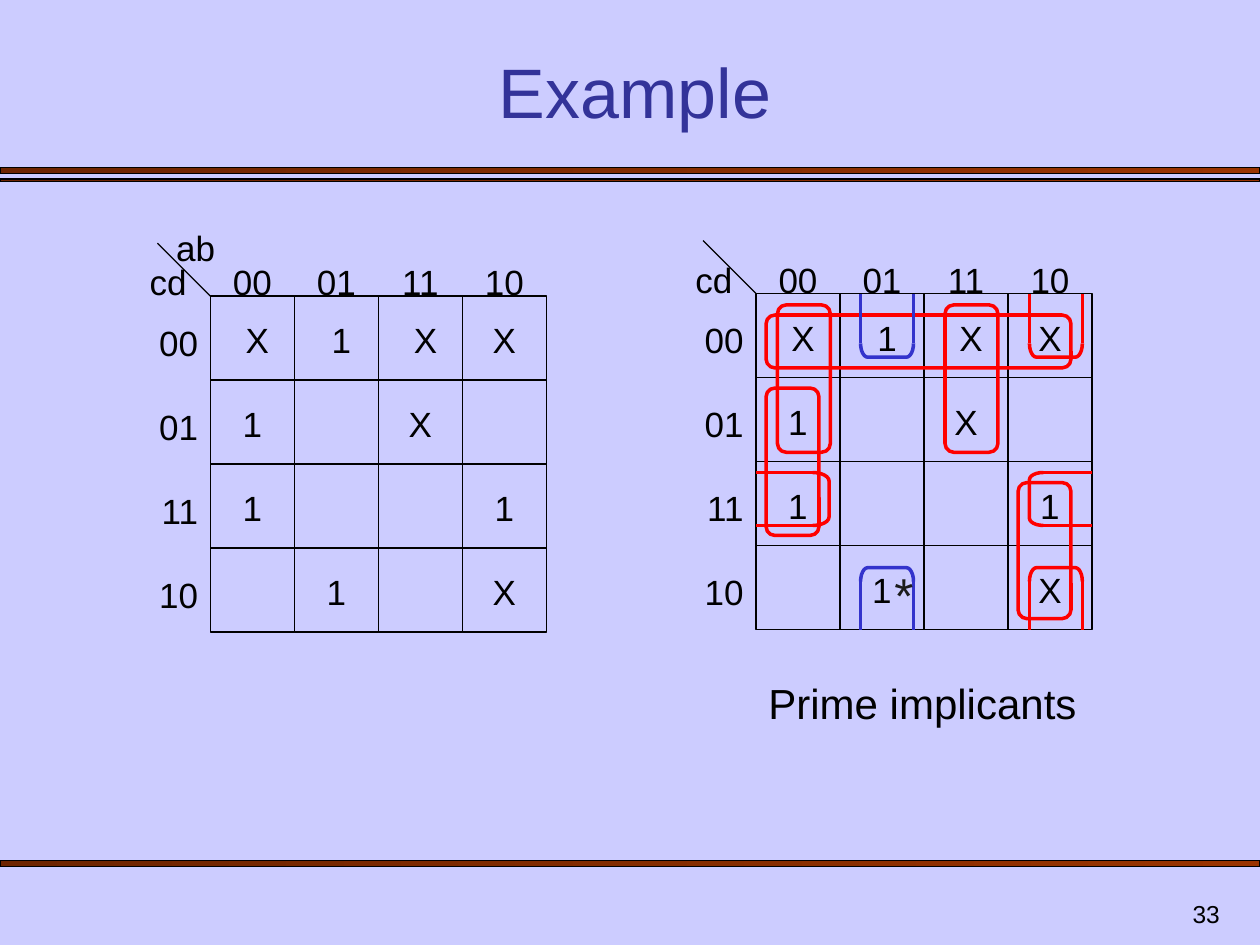
from lxml.etree import SubElement
from pptx import Presentation
from pptx.dml.color import RGBColor
from pptx.enum.shapes import MSO_CONNECTOR, MSO_SHAPE
from pptx.enum.text import MSO_ANCHOR, MSO_AUTO_SIZE, PP_ALIGN
from pptx.oxml.ns import qn
from pptx.util import Inches, Pt

COLORS = {
    "background": "CCCCFF", "title": "333399", "text": "000000", "star": "1C1C1C",
    "bar_dark": "6D2400", "bar_light": "993300", "red": "FF0000", "blue": "3333CC",
}
CODES = ["00", "01", "11", "10"]
MAP_ROWS = ["X1XX", "1-X-", "1--1", "-1-X"]
CELL = 2 / 3
LABEL_H = 0.43
LOOP = 0.42


def rgb(name):
    return RGBColor.from_string(COLORS[name])


def add_text(text, x, y, w, h, size=20, align=PP_ALIGN.LEFT, color="text"):
    sp = slide.shapes.add_textbox(Inches(x), Inches(y), Inches(w), Inches(h))
    tf = sp.text_frame
    tf.word_wrap = True
    tf.text = text
    p = tf.paragraphs[0]
    p.alignment = align
    p.font.name = "Arial"
    p.font.size = Pt(size)
    p.font.color.rgb = rgb(color)
    return tf


prs = Presentation()
prs.slide_width, prs.slide_height = Inches(10), Inches(7.5)
slide = prs.slides.add_slide(prs.slide_layouts[5])
slide.background.fill.solid()
slide.background.fill.fore_color.rgb = rgb("background")

# Divider bars
for y, h in ((1.33, 0.05), (1.42, 0.02), (6.83, 0.05)):
    bar = slide.shapes.add_shape(MSO_SHAPE.RECTANGLE, 0, Inches(y), Inches(10), Inches(h))
    bar.shadow.inherit = False
    bar.fill.gradient()
    bar.fill.gradient_angle = 0
    for stop, name in zip(bar.fill.gradient_stops, ("bar_dark", "bar_light")):
        stop.color.rgb = rgb(name)
    bar.line.color.rgb = rgb("text")
    bar.line.width = Pt(0.75)

# Title and page number
title = slide.shapes.title
title.left, title.top = Inches(0.58), Inches(0.42)
title.width, title.height = Inches(8.92), Inches(0.68)
tf = title.text_frame
tf.text = "Example"
tf.auto_size = MSO_AUTO_SIZE.NONE
tf.vertical_anchor = MSO_ANCHOR.BOTTOM
p = tf.paragraphs[0]
p.alignment = PP_ALIGN.CENTER
p.font.name = "Arial"
p.font.size = Pt(40)
p.font.color.rgb = rgb("title")
page = add_text("33", 7.7, 7, 2.08, 0.42, 14, PP_ALIGN.RIGHT)
page.vertical_anchor = MSO_ANCHOR.BOTTOM

outlines = []  # shape, x, y, w, h, rotation, corner, colour, line width
lines = []     # x1, y1, x2, y2, colour, line width

# Karnaugh maps
add_text("ab", 1.3, 1.75, 0.53, LABEL_H)
for left, top in ((1.67, 2.35), (6, 2.33)):
    lines.append((left - 0.42, top - 0.42, left, top, "text", 0.75))
    add_text("cd", left - 0.58, top - 0.33, 0.5, LABEL_H)
    for i, code in enumerate(CODES):
        add_text(code, left + i * CELL, top - 0.33, CELL, LABEL_H, align=PP_ALIGN.CENTER)
        add_text(code, left - 0.58, top + 0.15 + i * CELL, 0.58, LABEL_H, align=PP_ALIGN.RIGHT)
    for row, values in enumerate(MAP_ROWS):
        for col, value in enumerate(values):
            x, y = left + col * CELL, top + row * CELL
            outlines.append((MSO_SHAPE.RECTANGLE, x, y, CELL, CELL, 0, None, "text", 0.75))
            if value != "-":
                nudge = 0.04 if row == 0 and col < 3 else 0
                add_text(value, x + nudge, y + 0.13, CELL, LABEL_H, align=PP_ALIGN.CENTER)

# Prime implicants inside the second map
for x, y, w, h in ((6.08, 2.5, 2.42, LOOP), (6.17, 2.42, LOOP, 1.17), (6.08, 3.08, LOOP, 1.17),
                   (8.08, 3.83, LOOP, 1.08), (7.5, 2.42, LOOP, 1.17)):
    outlines.append((MSO_SHAPE.ROUNDED_RECTANGLE, x, y, w, h, 0, 0.167, "red", 2))

# Prime implicants wrapping from top to bottom
for x, color in ((6.83, "blue"), (8.17, "red")):
    for rotation, y, start, edge in ((90, 4.35, 4.61, 5), (270, 2.57, 2.72, 2.33)):
        outlines.append((MSO_SHAPE.LEFT_BRACKET, x + 0.155, y, 0.11, LOOP,
                         rotation, 0.521, color, 2))
        for side in (x, x + LOOP):
            lines.append((side, start, side, edge, color, 2))

# Prime implicant wrapping from left to right
for rotation, x, w, start, edge in ((0, 8.17, 0.11, 8.28, 8.67), (180, 6.45, 0.13, 6.45, 6)):
    outlines.append((MSO_SHAPE.LEFT_BRACKET, x, 3.75, w, LOOP, rotation, 0.521, "red", 2))
    for side in (3.75, 3.75 + LOOP):
        lines.append((start, side, edge, side, "red", 2))

for kind, x, y, w, h, rotation, corner, color, width in outlines:
    sp = slide.shapes.add_shape(kind, Inches(x), Inches(y), Inches(w), Inches(h))
    sp.shadow.inherit = False
    sp.fill.background()
    sp.line.color.rgb = rgb(color)
    sp.line.width = Pt(width)
    sp.rotation = rotation
    if corner:
        sp.adjustments[0] = corner

for x1, y1, x2, y2, color, width in lines:
    line = slide.shapes.add_connector(MSO_CONNECTOR.STRAIGHT, Inches(x1), Inches(y1),
                                      Inches(x2), Inches(y2))
    line.line.color.rgb = rgb(color)
    line.line.width = Pt(width)
    SubElement(line._element.spPr, qn("a:effectLst"))

add_text("*", 7, 4.43, 0.33, 0.57, 28, color="star")
caption = add_text("Prime implicants", 6, 5.33, 2.65, 0.5, 24)
caption.word_wrap = False

prs.save("out.pptx")
